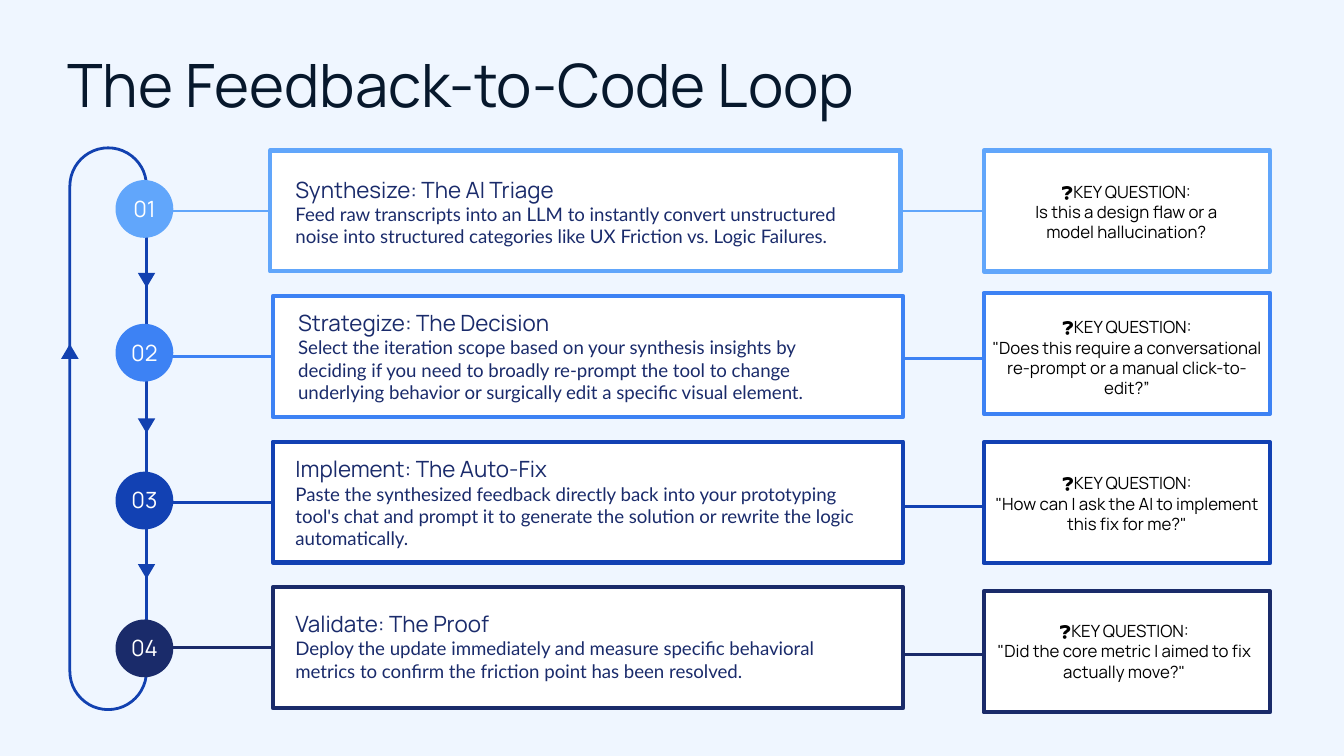
from dataclasses import dataclass

from lxml import etree
from pptx import Presentation
from pptx.dml.color import RGBColor
from pptx.enum.shapes import MSO_CONNECTOR, MSO_SHAPE
from pptx.enum.text import MSO_ANCHOR, MSO_AUTO_SIZE, PP_ALIGN
from pptx.oxml.ns import qn
from pptx.util import Inches, Pt

STRAIGHT = MSO_CONNECTOR.STRAIGHT
RECTANGLE = MSO_SHAPE.RECTANGLE
ROUNDED = MSO_SHAPE.ROUNDED_RECTANGLE
OVAL = MSO_SHAPE.OVAL
TRIANGLE = MSO_SHAPE.ISOSCELES_TRIANGLE
TOP, MIDDLE = MSO_ANCHOR.TOP, MSO_ANCHOR.MIDDLE
LEFT, CENTER = PP_ALIGN.LEFT, PP_ALIGN.CENTER
NO_AUTOFIT = MSO_AUTO_SIZE.NONE
LEFT_SIDE = 1

COLORS = {
    "background": "EFF6FF",
    "title": "07182C",
    "text": "1A2B6B",
    "question": "000000",
    "white": "FFFFFF",
    "loop": "1241B0",
    "step1": "61A6FB",
    "step2": "3D82F4",
    "step3": "1241B3",
    "step4": "1A2B6A",
}
HEADING_FONT, BODY_FONT = "Manrope", "Lato"

ROW_TOP, LAST_ROW_TOP, ROW_HEIGHT = 1.12, 4.37, 0.9
ROW_PITCH = (LAST_ROW_TOP - ROW_TOP) / 3
CARD_WIDTH = 4.69
QUESTION_LEFT, QUESTION_WIDTH = 7.32, 2.13
LINK_TOP, LINK_PITCH = 1.57, 1.1
CIRCLE_LEFT, CIRCLE_SIZE = 0.86, 0.43
ARROW_WIDTH, ARROW_HEIGHT = 0.13, 0.11


@dataclass
class Step:
    heading: str
    body: str
    text_box: tuple
    circle_top: float
    question: str
    question_top: float
    question_text_box: tuple
    card_left: float = 2.03


STEPS = [
    Step("Synthesize: The AI Triage",
         "Feed raw transcripts into an LLM to instantly convert unstructured noise "
         "into structured categories like UX Friction vs. Logic Failures.",
         (2.1, 1.21, 4.44, 1), 1.34,
         "Is this a design flaw or a model hallucination?",
         1.12, (7.46, 1.25, 1.84, 0.66), card_left=2.01),
    Step("Strategize: The Decision",
         "Select the iteration scope based on your synthesis insights by deciding if "
         "you need to broadly re-prompt the tool to change underlying behavior or "
         "surgically edit a specific visual element.",
         (2.12, 2.2, 4.38, 0.85), 2.41,
         '"Does this require a conversational re-prompt or a manual click-to-edit?”',
         2.18, (7.27, 2.26, 2.23, 0.96)),
    Step("Implement: The Auto-Fix",
         "Paste the synthesized feedback directly back into your prototyping tool's "
         "chat and prompt it to generate the solution or rewrite the logic automatically.",
         (2.1, 3.29, 4.44, 0.87), 3.51,
         '"How can I ask the AI to implement this fix for me?"',
         3.29, (7.27, 3.42, 2.23, 0.66)),
    Step("Validate: The Proof",
         "Deploy the update immediately and measure specific behavioral metrics to "
         "confirm the friction point has been resolved.",
         (2.1, 4.44, 4.23, 0.87), 4.61,
         '"Did the core metric I aimed to fix actually move?"',
         4.4, (7.3, 4.52, 2.13, 0.66)),
]


def color(name):
    return RGBColor.from_string(COLORS[name])


def write_text(shape, lines, align=LEFT, anchor=TOP, inset=0.1, line_spacing=None):
    frame = shape.text_frame
    frame.word_wrap = True
    frame.auto_size = NO_AUTOFIT
    frame.vertical_anchor = anchor
    frame.margin_left = frame.margin_right = Inches(inset)
    frame.margin_top = frame.margin_bottom = Inches(inset)
    paragraph = frame.paragraphs[0]
    paragraph.alignment = align
    paragraph.line_spacing = line_spacing
    for index, (text, size, font, color_name) in enumerate(lines):
        if index:
            paragraph.add_line_break()
        run = paragraph.add_run()
        run.text = text
        run.font.size = Pt(size)
        run.font.name = font
        run.font.color.rgb = color(color_name)


def add_text(slide, box, lines, **text_format):
    text_box = slide.shapes.add_textbox(*map(Inches, box))
    write_text(text_box, lines, **text_format)


def add_shape(slide, kind, box, fill=None, line=None, line_width=2.25):
    shape = slide.shapes.add_shape(kind, *map(Inches, box))
    shape.shadow.inherit = False
    if fill:
        shape.fill.solid()
        shape.fill.fore_color.rgb = color(fill)
    else:
        shape.fill.background()
    if line:
        shape.line.color.rgb = color(line)
        shape.line.width = Pt(line_width)
    else:
        shape.line.fill.background()
    return shape


def add_link(slide, start_x, end_x, y, line):
    link = slide.shapes.add_connector(
        STRAIGHT, Inches(start_x), Inches(y), Inches(end_x), Inches(y))
    link.line.color.rgb = color(line)
    link.line.width = Pt(1.5)
    etree.SubElement(link._element.spPr, qn("a:effectLst"))
    return link


def add_title(slide, box):
    title = slide.shapes.title
    title.left, title.top, title.width, title.height = map(Inches, box)
    write_text(title, [("The Feedback-to-Code Loop", 32, HEADING_FONT, "title")],
               anchor=MIDDLE, inset=0, line_spacing=0.8)


def add_loop(slide, box):
    left, top, width, height = box
    track = add_shape(slide, ROUNDED, box, line="loop", line_width=1.5)
    track.adjustments[0] = 0.5
    arrow_left = left + width - ARROW_WIDTH / 2
    for gap in range(len(STEPS) - 1):
        arrow = add_shape(
            slide, TRIANGLE,
            (arrow_left, top + 0.93 + gap * ROW_PITCH, ARROW_WIDTH, ARROW_HEIGHT),
            fill="loop")
        arrow.rotation = 180
    add_shape(slide, TRIANGLE,
              (left - ARROW_WIDTH / 2, top + 1.46, ARROW_WIDTH, ARROW_HEIGHT),
              fill="loop")


def add_card(slide, box, step, line):
    card = add_shape(slide, RECTANGLE, box, fill="white", line=line)
    add_text(slide, step.text_box, [(step.heading, 12, HEADING_FONT, "text"),
                                    (step.body, 10, BODY_FONT, "text")])
    return card


def add_question(slide, box, step, line):
    panel = add_shape(slide, ROUNDED, box, fill="white", line=line)
    panel.adjustments[0] = 0
    add_text(slide, step.question_text_box,
             [(text, 9, HEADING_FONT, "question")
              for text in ("❓KEY QUESTION:", step.question)], align=CENTER)


def add_number(slide, box, number, fill):
    left, top, size, _ = box
    add_shape(slide, OVAL, box, fill=fill)
    add_text(slide, (left - 0.07, top + 0.01, size + 0.14, 0.4),
             [(f"{number:02}", 12, HEADING_FONT, "white")], align=CENTER)


def add_step(slide, index, step):
    accent = f"step{index + 1}"
    top = ROW_TOP + index * ROW_PITCH
    add_link(slide, 7.37, 6.57, LINK_TOP + index * LINK_PITCH, accent)
    card = add_card(slide, (step.card_left, top, CARD_WIDTH, ROW_HEIGHT), step, accent)
    add_question(slide, (QUESTION_LEFT, step.question_top, QUESTION_WIDTH, ROW_HEIGHT),
                 step, accent)
    link = add_link(slide, step.card_left, 1.26, top + ROW_HEIGHT / 2, accent)
    link.begin_connect(card, LEFT_SIDE)
    add_number(slide, (CIRCLE_LEFT, step.circle_top, CIRCLE_SIZE, CIRCLE_SIZE),
               index + 1, accent)


def main():
    presentation = Presentation()
    presentation.slide_width = Inches(10)
    presentation.slide_height = presentation.slide_width * 9 // 16
    slide = presentation.slides.add_slide(presentation.slide_layouts[5])
    slide.background.fill.solid()
    slide.background.fill.fore_color.rgb = color("background")
    add_title(slide, (0.5, 0.46, 9, 0.43))
    add_loop(slide, (0.52, 1.1, 0.57, 4.18))
    for index, step in enumerate(STEPS):
        add_step(slide, index, step)
    presentation.save("out.pptx")


if __name__ == "__main__":
    main()
